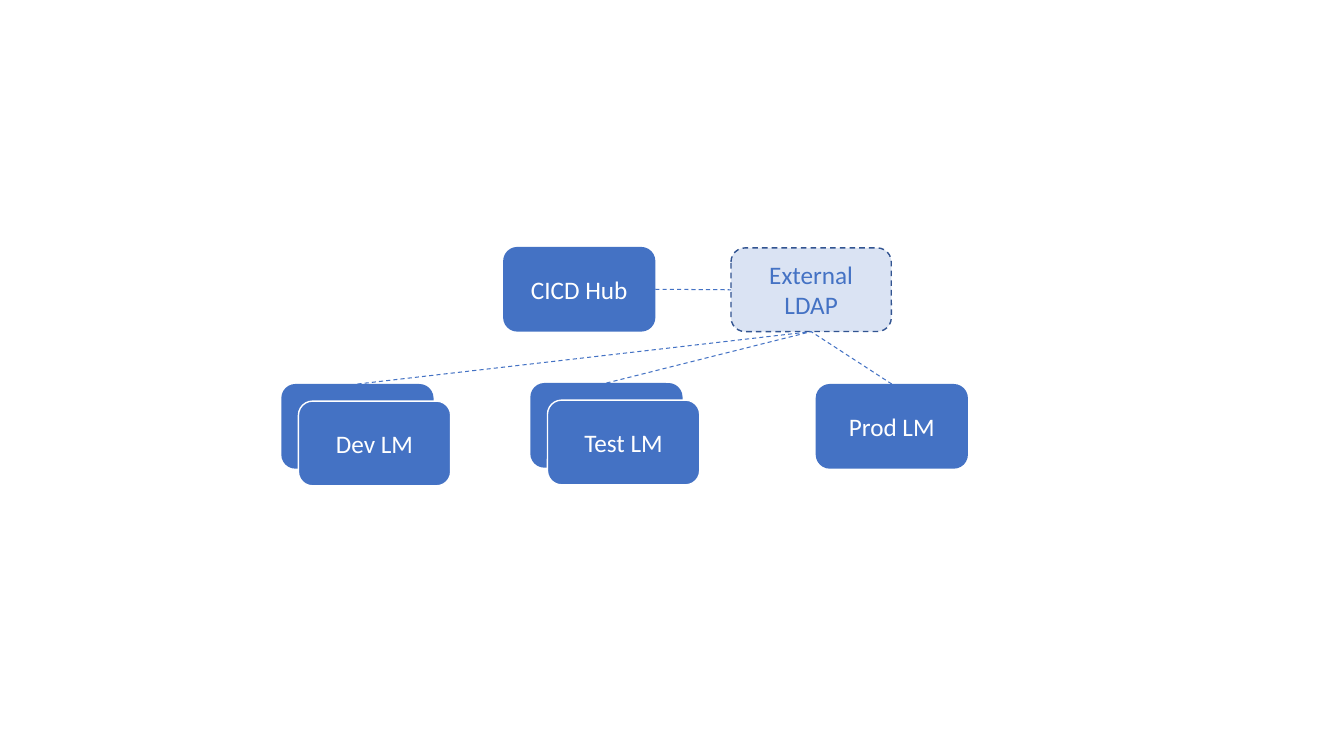
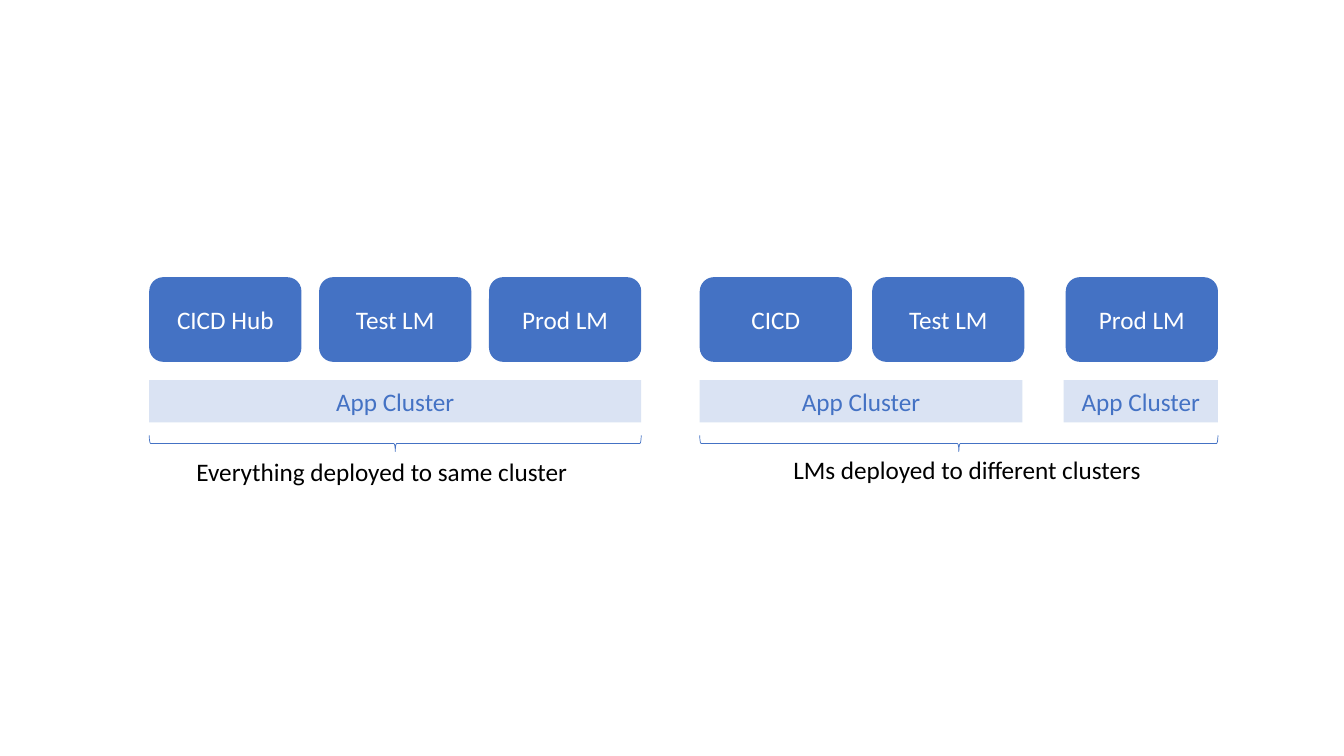
"""Build two slides on how the hub, managers and clusters are deployed."""
import dataclasses

import lxml.etree
import pptx
import pptx.dml.color
import pptx.enum.dml
import pptx.enum.shapes
import pptx.enum.text
import pptx.oxml.ns
import pptx.util

Inches = pptx.util.Inches
Pt = pptx.util.Pt
Shape = pptx.enum.shapes.MSO_SHAPE
DASH = pptx.enum.dml.MSO_LINE.DASH
TOP, LEFT, BOTTOM, RIGHT = range(4)
BLANK = 6
BOX_W, BOX_H = 1.51, 0.84


@dataclasses.dataclass(frozen=True)
class Theme:
    """Hold the colours, font and sizes that the slides share."""
    blue: str = "4472C4"
    pale: str = "DAE3F3"
    navy: str = "325491"
    white: str = "FFFFFF"
    black: str = "000000"
    font: str = "Calibri"
    size: float = 18
    edge: float = 1
    link: float = 0.75
    brace: float = 0.5


THEME = Theme()


def tint(hue):
    """Turn a hex string into a colour."""
    return pptx.dml.color.RGBColor.from_string(hue)


def stroke(line, hue, width, dash=None):
    """Set the colour, width and dash of a line."""
    line.color.rgb = tint(hue)
    line.width = Pt(width)
    if dash is not None:
        line.dash_style = dash


def write(shape, text, hue, align):
    """Put one styled paragraph in a shape."""
    frame = shape.text_frame
    frame.word_wrap = True
    frame.text = text
    para = frame.paragraphs[0]
    para.alignment = align
    for run in para.runs:
        run.font.name = THEME.font
        run.font.size = Pt(THEME.size)
        run.font.color.rgb = tint(hue)


def panel(slide, kind, area, fill, text="", ink=THEME.white):
    """Add a filled shape with centred text and no outline."""
    shape = slide.shapes.add_shape(kind, *map(Inches, area))
    shape.shadow.inherit = False
    shape.fill.solid()
    shape.fill.fore_color.rgb = tint(fill)
    shape.line.fill.background()
    if text:
        write(shape, text, ink, pptx.enum.text.PP_ALIGN.CENTER)
        shape.text_frame.vertical_anchor = pptx.enum.text.MSO_ANCHOR.MIDDLE
    return shape


def node(slide, left, top, text=""):
    """Add a blue rounded box of the common size."""
    area = (left, top, BOX_W, BOX_H)
    return panel(slide, Shape.ROUNDED_RECTANGLE, area, THEME.blue, text)


def stack(slide, left, top, text):
    """Add two overlapping boxes and return the rear one."""
    shift = 0.17
    rear = node(slide, left, top)
    front = node(slide, left + shift, top + shift, text)
    stroke(front.line, THEME.white, THEME.edge)
    return rear


def link(slide, start, start_site, end, end_site):
    """Join two shapes with a dashed line."""
    line = slide.shapes.add_connector(
        pptx.enum.shapes.MSO_CONNECTOR.STRAIGHT, 0, 0, 0, 0)
    line.begin_connect(start, start_site)
    line.end_connect(end, end_site)
    stroke(line.line, THEME.blue, THEME.link, DASH)
    props = line._element.spPr
    lxml.etree.SubElement(props, pptx.oxml.ns.qn("a:effectLst"))


def bar(slide, left, width):
    """Add a pale cluster bar below the boxes."""
    area = (left, 3.77, width, 0.42)
    panel(slide, Shape.RECTANGLE, area, THEME.pale, "App Cluster", THEME.blue)


def brace(slide, left, right):
    """Add a brace that opens upward over a span."""
    depth, centre = 0.16, 4.4
    span = right - left
    middle = (left + right) / 2
    area = (middle - depth / 2, centre - span / 2, depth, span)
    shape = slide.shapes.add_shape(Shape.RIGHT_BRACE, *map(Inches, area))
    shape.rotation = 90
    shape.shadow.inherit = False
    shape.fill.background()
    stroke(shape.line, THEME.blue, THEME.brace)


def label(slide, left, top, width, text):
    """Add a black caption."""
    box = slide.shapes.add_textbox(*map(Inches, (left, top, width, 0.4)))
    write(box, text, THEME.black, pptx.enum.text.PP_ALIGN.LEFT)
    box.text_frame.auto_size = pptx.enum.text.MSO_AUTO_SIZE.SHAPE_TO_FIT_TEXT


def group(slide, boxes, bars, note):
    """Add a row of boxes with its bars, brace and caption."""
    for left, text in boxes:
        node(slide, left, 2.75, text)
    for left, width in bars:
        bar(slide, left, width)
    brace(slide, boxes[0][0], boxes[-1][0] + BOX_W)
    label(slide, *note)


def draw_links(slide):
    """Draw the hub and managers joined to the directory."""
    hub = node(slide, 4.99, 2.45, "CICD Hub")
    dev = stack(slide, 2.79, 3.81, "Dev LM")
    test = stack(slide, 5.26, 3.8, "Test LM")
    prod = node(slide, 8.09, 3.81, "Prod LM")
    ldap = panel(slide, Shape.ROUNDED_RECTANGLE, (7.25, 2.46, 1.59, 0.83),
                 THEME.pale, "External LDAP", THEME.blue)
    stroke(ldap.line, THEME.navy, THEME.edge, DASH)
    for child in (prod, test, dev):
        link(slide, child, TOP, ldap, BOTTOM)
    link(slide, hub, RIGHT, ldap, LEFT)


def draw_hosts(slide):
    """Draw the shared and the split cluster set-ups."""
    start, pitch = 1.48, 1.685
    names = ("CICD Hub", "Test LM", "Prod LM")
    shared = [(start + i * pitch, name) for i, name in enumerate(names)]
    group(slide, shared, [(start, 2 * pitch + BOX_W)],
          (1.85, 4.48, 4.17, "Everything deployed to same cluster"))
    split = [(6.94, "CICD"), (8.65, "Test LM"), (10.57, "Prod LM")]
    group(slide, split, [(6.94, 3.2), (10.55, 1.53)],
          (7.77, 4.46, 4.02, "LMs deployed to different clusters"))


def main():
    """Build and save the deck."""
    deck = pptx.Presentation()
    deck.slide_width = Inches(13.33)
    deck.slide_height = Inches(7.5)
    for draw in (draw_links, draw_hosts):
        draw(deck.slides.add_slide(deck.slide_layouts[BLANK]))
    deck.save("out.pptx")


if __name__ == "__main__":
    main()
